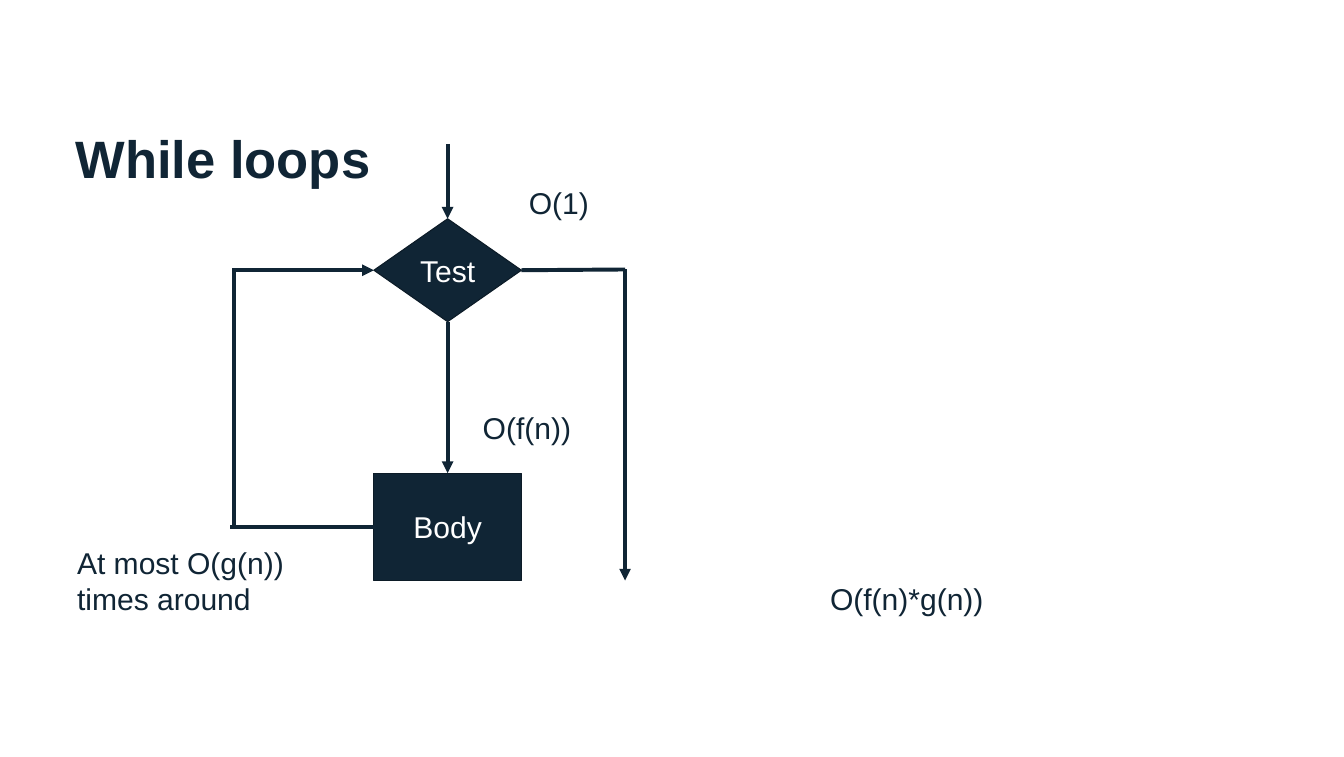
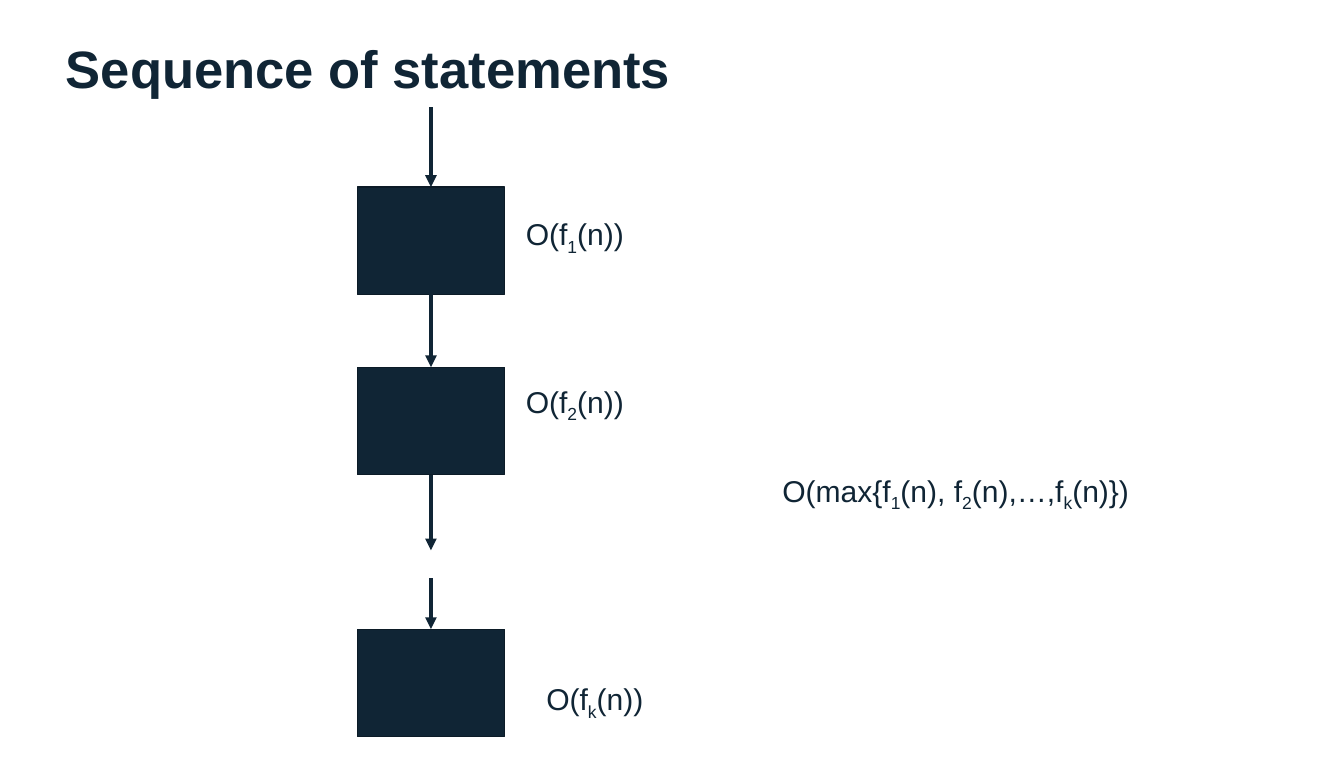
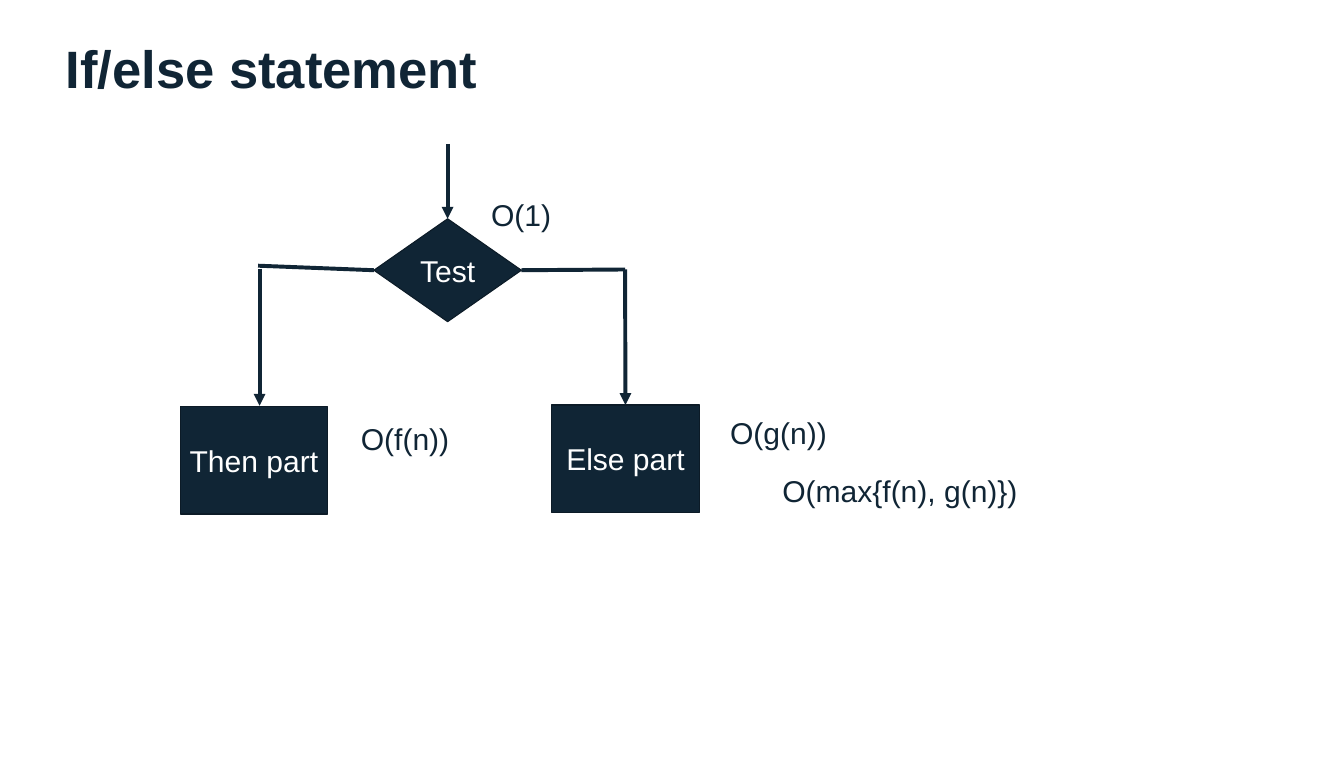
"""Build three slides that show the running time of loops, sequences and branches."""
from lxml.etree import SubElement
from pptx import Presentation
from pptx.dml.color import RGBColor
from pptx.enum.shapes import MSO_CONNECTOR as Connector, MSO_SHAPE as Shape
from pptx.enum.text import MSO_ANCHOR as Anchor, MSO_AUTO_SIZE as AutoSize, PP_ALIGN as Align
from pptx.oxml.ns import qn
from pptx.util import Inches, Pt

NAVY, EDGE, WHITE = "102535", "0C1B27", "FFFFFF"
FONT, TITLE_SIZE, TEXT_SIZE = "Arial", 50, 28.6
SLIDE_WIDTH, SLIDE_HEIGHT = 17.76, 10
TITLE_WIDTH, TITLE_HEIGHT = 15.55, 1.54
NODE_WIDTH, TEST_HEIGHT, BLOCK_HEIGHT = 1.95, 1.36, 1.42
TOP, LEFT, BOTTOM, RIGHT = range(4)

TEST_LEFT, TEST_TOP = 4.94, 2.89
TEST_AXIS = TEST_LEFT + NODE_WIDTH / 2
TEST_MIDDLE = TEST_TOP + TEST_HEIGHT / 2
TEST = ("Test", Shape.DIAMOND, TEST_LEFT, TEST_TOP)
ENTRY = ((TEST_AXIS, 1.9), ("Test", TOP), True)
EXIT_X, LOOP_X, THEN_X = 8.26, 3.09, 3.43
EXIT = ((EXIT_X, 3.56), ("Test", RIGHT), False)

SEQUENCE_LEFT = 4.72
SEQUENCE_AXIS = SEQUENCE_LEFT + NODE_WIDTH / 2
SEQUENCE_TOPS = {"first": 2.47, "second": 4.85, "last": 8.31}

SLIDES = [
    {
        "title": ("While loops", 1, 1.5),
        "nodes": [TEST, ("Body", Shape.RECTANGLE, TEST_LEFT, 6.25)],
        "lines": [
            ENTRY,
            EXIT,
            (("Test", BOTTOM), ("Body", TOP), True),
            (("Body", LEFT), (3.04, 6.96), False),
            ((LOOP_X, 6.96), (LOOP_X, 3.54), False),
            ((LOOP_X, TEST_MIDDLE), ("Test", LEFT), True),
            ((EXIT_X, 3.56), (EXIT_X, 7.67), True),
        ],
        "labels": [
            ("O(1)", 6.89, 2.39, 1),
            ("O(f(n))", 6.28, 5.36, 1.38),
            ("At most O(g(n))\ntimes around", 0.92, 7.14, 3.07),
            ("O(f(n)*g(n))", 10.87, 7.62, 2.25),
        ],
    },
    {
        "title": ("Sequence of statements", 0.87, 0.31),
        "nodes": [(name, Shape.RECTANGLE, SEQUENCE_LEFT, top)
                  for name, top in SEQUENCE_TOPS.items()],
        "unlabelled": True,
        "lines": [
            ((SEQUENCE_AXIS, 1.42), ("first", TOP), True),
            (("first", BOTTOM), ("second", TOP), True),
            (("second", BOTTOM), (SEQUENCE_AXIS, 7.27), True),
            ((SEQUENCE_AXIS, 7.64), ("last", TOP), True),
        ],
        "labels": [
            ("O(f_1(n))", 6.85, 2.8, 1.53),
            ("O(f_2(n))", 6.85, 5.01, 1.53),
            ("O(f_k(n))", 7.12, 8.94, 1.51),
            ("O(max{f_1(n), f_2(n),…,f_k(n)})", 10.24, 6.19, 4.84),
        ],
    },
    {
        "title": ("If/else statement", 0.87, 0.31),
        "nodes": [
            TEST,
            ("Then part", Shape.RECTANGLE, 2.38, 5.37),
            ("Else part", Shape.RECTANGLE, 7.29, 5.35),
        ],
        "lines": [
            ENTRY,
            EXIT,
            ((EXIT_X, 3.56), ("Else part", TOP), True),
            (("Test", LEFT), (3.41, 3.51), False),
            ((THEN_X, 3.55), (THEN_X, 5.36), True),
        ],
        "labels": [
            ("O(f(n))", 4.67, 5.5, 1.38),
            ("O(g(n))", 9.55, 5.43, 1.49),
            ("O(1)", 6.39, 2.54, 1),
            ("O(max{f(n), g(n)})", 10.24, 6.19, 3.33),
        ],
    },
]


def color(value):
    return RGBColor.from_string(value)


def style(font, size, hex_color, bold=False):
    font.name, font.size, font.bold = FONT, Pt(size), bold
    font.color.rgb = color(hex_color)


def add_title(slide, text, left, top):
    box = slide.shapes.add_textbox(
        Inches(left), Inches(top), Inches(TITLE_WIDTH), Inches(TITLE_HEIGHT))
    frame = box.text_frame
    frame.word_wrap = True
    frame.margin_left = frame.margin_right = frame.margin_top = frame.margin_bottom = 0
    frame.text = text
    frame.paragraphs[0].line_spacing = 1.2
    style(frame.paragraphs[0].runs[0].font, TITLE_SIZE, NAVY, bold=True)


def add_node(slide, text, kind, left, top):
    height = TEST_HEIGHT if kind == Shape.DIAMOND else BLOCK_HEIGHT
    node = slide.shapes.add_shape(
        kind, Inches(left), Inches(top), Inches(NODE_WIDTH), Inches(height))
    node.shadow.inherit = False
    node.fill.solid()
    node.fill.fore_color.rgb = color(NAVY)
    node.line.color.rgb = color(EDGE)
    node.line.width = Pt(1)
    if text:
        frame = node.text_frame
        frame.text = text
        frame.vertical_anchor = Anchor.MIDDLE
        frame.paragraphs[0].alignment = Align.CENTER
        style(frame.paragraphs[0].runs[0].font, TEXT_SIZE, WHITE)
    return node


def add_line(slide, nodes, start, end, arrow):
    ends = [(0, 0) if point[0] in nodes else point for point in (start, end)]
    line = slide.shapes.add_connector(
        Connector.STRAIGHT, *(Inches(value) for point in ends for value in point))
    for point, connect in ((start, line.begin_connect), (end, line.end_connect)):
        if point[0] in nodes:
            connect(nodes[point[0]], point[1])
    line.line.color.rgb = color(NAVY)
    line.line.width = Pt(3.75)
    if arrow:
        SubElement(line.line._get_or_add_ln(), qn("a:tailEnd"), type="triangle")
    SubElement(line._element.spPr, qn("a:effectLst"))


def add_run(paragraph, text, subscript=False):
    run = paragraph.add_run()
    run.text = text
    style(run.font, TEXT_SIZE, NAVY)
    if subscript:
        run._r.get_or_add_rPr().set("baseline", "-25000")


def add_label(slide, text, left, top, width):
    rows = text.split("\n")
    box = slide.shapes.add_textbox(
        Inches(left), Inches(top), Inches(width), Inches(0.1 + 0.48 * len(rows)))
    frame = box.text_frame
    frame.word_wrap = False
    frame.auto_size = AutoSize.SHAPE_TO_FIT_TEXT
    for index, row in enumerate(rows):
        paragraph = frame.add_paragraph() if index else frame.paragraphs[0]
        plain, *pieces = row.split("_")
        add_run(paragraph, plain)
        for piece in pieces:
            add_run(paragraph, piece[0], subscript=True)
            add_run(paragraph, piece[1:])


def main():
    presentation = Presentation()
    presentation.slide_width = Inches(SLIDE_WIDTH)
    presentation.slide_height = Inches(SLIDE_HEIGHT)
    for content in SLIDES:
        slide = presentation.slides.add_slide(presentation.slide_layouts[6])
        add_title(slide, *content["title"])
        nodes = {}
        for name, kind, left, top in content["nodes"]:
            text = "" if content.get("unlabelled") else name
            nodes[name] = add_node(slide, text, kind, left, top)
        for line in content["lines"]:
            add_line(slide, nodes, *line)
        for label in content["labels"]:
            add_label(slide, *label)
    presentation.save("out.pptx")


if __name__ == "__main__":
    main()
